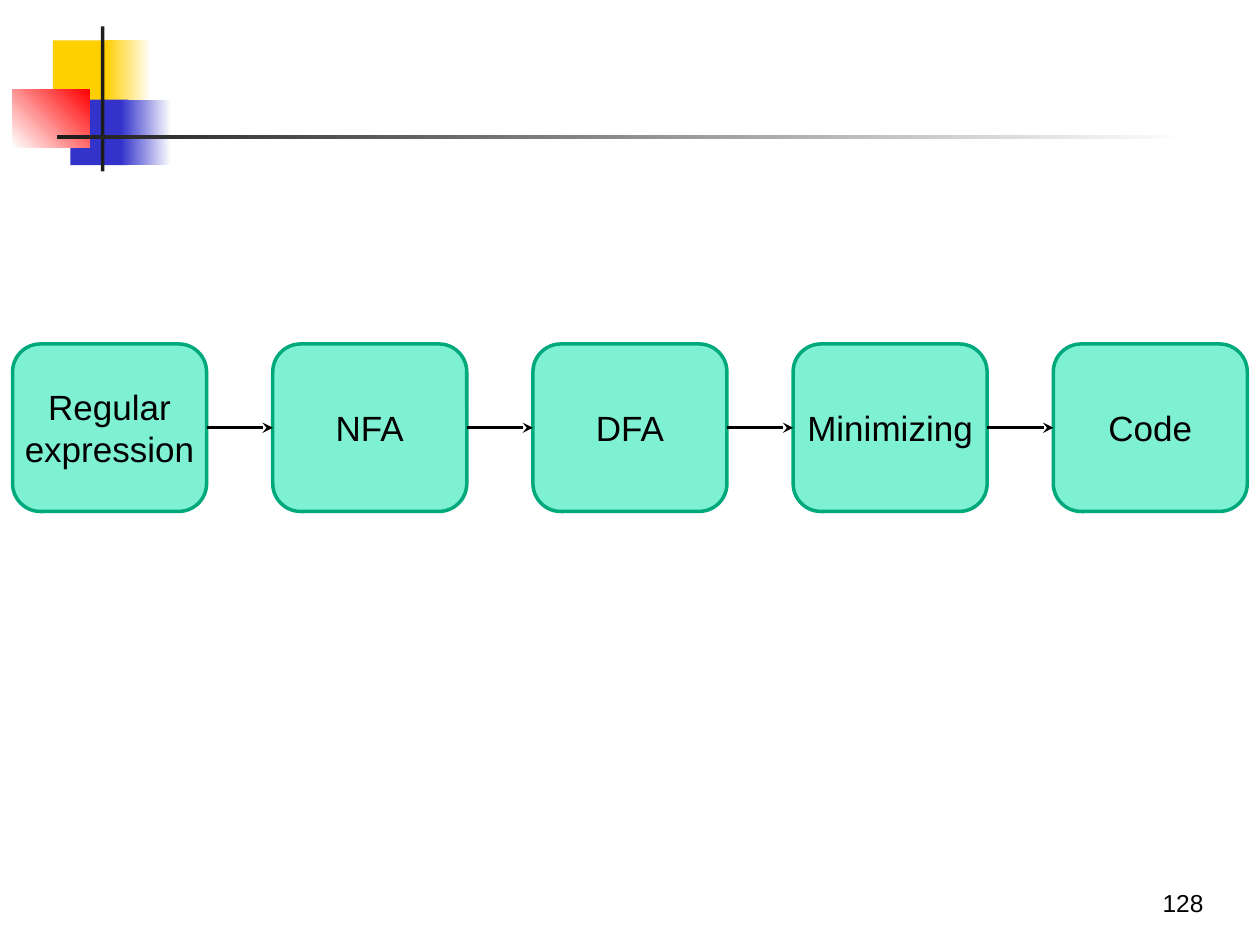
from dataclasses import dataclass
from itertools import pairwise

from pptx import Presentation, util as u
from pptx.dml.color import RGBColor
from pptx.enum import shapes, text
from pptx.oxml import ns, xmlchemy as xml


@dataclass(frozen=True)
class Theme:
    font: str = "Arial"
    body: int = 20
    small: int = 14
    ink: str = "000000"
    paper: str = "FFFFFF"
    dark: str = "1C1C1C"
    gold: str = "FFCF01"
    blue: str = "3333CC"
    red: str = "FF0000"
    mint: str = "00E4A8"
    edge: str = "00A97C"


# The grid has 100 columns and 75 rows
COLS, ROWS = 100, 75


def rgb(code):
    return RGBColor.from_string(code)


def write(frame, words, font, size, color, align, anchor, side=0.1):
    """Fill a text frame, one paragraph for each line of words."""
    frame.word_wrap = True
    frame.vertical_anchor = anchor
    frame.margin_left = frame.margin_right = u.Inches(side)
    frame.text = words
    for par in frame.paragraphs:
        par.alignment = align
        par.font.name = font
        par.font.size = u.Pt(size)
        par.font.color.rgb = rgb(color)


class Deck:
    def __init__(self, theme):
        self.theme = theme
        self.show = Presentation()
        self.show.slide_width = u.Inches(10)
        self.show.slide_height = u.Inches(7.5)
        self.slide = self.show.slides.add_slide(self.show.slide_layouts[6])

    def col(self, n):
        return round(self.show.slide_width * n / COLS)

    def row(self, n):
        return round(self.show.slide_height * n / ROWS)

    def place(self, x, y, w, h):
        return self.col(x), self.row(y), self.col(w), self.row(h)

    def block(self, area, start, end=None, angle=0):
        """A plain rectangle, solid or fading from start to end."""
        item = self.slide.shapes.add_shape(
            shapes.MSO_SHAPE.RECTANGLE, *self.place(*area))
        item.shadow.inherit = False
        item.line.fill.background()
        if end is None:
            item.fill.solid()
            item.fill.fore_color.rgb = rgb(start)
            return
        item.fill.gradient()
        item.fill.gradient_angle = angle
        for stop, color, spot in zip(item.fill.gradient_stops, (start, end), (0, 1)):
            stop.color.rgb = rgb(color)
            stop.position = spot

    def stage(self, area, words, side):
        """A rounded, half-transparent box with a label."""
        look = self.theme
        item = self.slide.shapes.add_shape(
            shapes.MSO_SHAPE.ROUNDED_RECTANGLE, *self.place(*area))
        item.shadow.inherit = False
        item.fill.solid()
        item.fill.fore_color.rgb = rgb(look.mint)
        tint = item.element.spPr.find(".//" + ns.qn("a:srgbClr"))
        xml.OxmlElement("a:alpha")
        alpha = xml.OxmlElement("a:alpha")
        alpha.set("val", "50000")
        tint.append(alpha)
        item.line.color.rgb = rgb(look.edge)
        item.line.width = u.Pt(2)
        write(item.text_frame, words, look.font, look.body, look.ink,
              text.PP_ALIGN.CENTER, text.MSO_ANCHOR.MIDDLE, side)
        return item

    def arrow(self, left, right):
        """A stealth arrow from the right side of one box to the next."""
        line = self.slide.shapes.add_connector(
            shapes.MSO_CONNECTOR.STRAIGHT, 0, 0, 0, 0)
        line.begin_connect(left, 3)
        line.end_connect(right, 1)
        line.line.color.rgb = rgb(self.theme.ink)
        line.line.width = u.Pt(1.5)
        head = xml.OxmlElement("a:tailEnd")
        head.set("type", "stealth")
        line.line._get_or_add_ln().append(head)
        line.element.spPr.append(xml.OxmlElement("a:effectLst"))

    def label(self, area, words):
        box = self.slide.shapes.add_textbox(*self.place(*area))
        look = self.theme
        write(box.text_frame, words, look.font, look.small, look.ink,
              text.PP_ALIGN.RIGHT, text.MSO_ANCHOR.BOTTOM)


def main():
    look = Theme()
    deck = Deck(look)

    # Corner ornament: colour blocks, then the two rules
    deck.block((4.2, 3.2, 4.8, 5.2), look.gold)
    deck.block((8.4, 3.2, 3.6, 5.2), look.gold, look.paper)
    deck.block((5.6, 7.9, 4.6, 5.2), look.blue)
    deck.block((9.6, 7.9, 4, 5.2), look.blue, look.paper)
    deck.block((1, 7.1, 6.1, 4.6), look.paper, look.red, angle=45)
    deck.block((8, 2.1, 0.3, 11.5), look.dark)
    deck.block((4.5, 10.7, 90, 0.3), look.dark, look.paper)

    # Page number
    deck.label((75.7, 68.3, 20.8, 5), "128")

    # Row of stages, evenly spread between the side margins
    steps = [("Regular\nexpression", 0), ("NFA", 0.1), ("DFA", 0.1),
             ("Minimizing", 0), ("Code", 0.1)]
    edge, wide = 1, 15.4
    pitch = (COLS - 2 * edge - wide) / (len(steps) - 1)
    boxes = [deck.stage((edge + i * pitch, 27.3, wide, 13.3), words, side)
             for i, (words, side) in enumerate(steps)]

    # Arrows between neighbours
    for left, right in pairwise(boxes):
        deck.arrow(left, right)

    deck.show.save("out.pptx")


if __name__ == "__main__":
    main()
